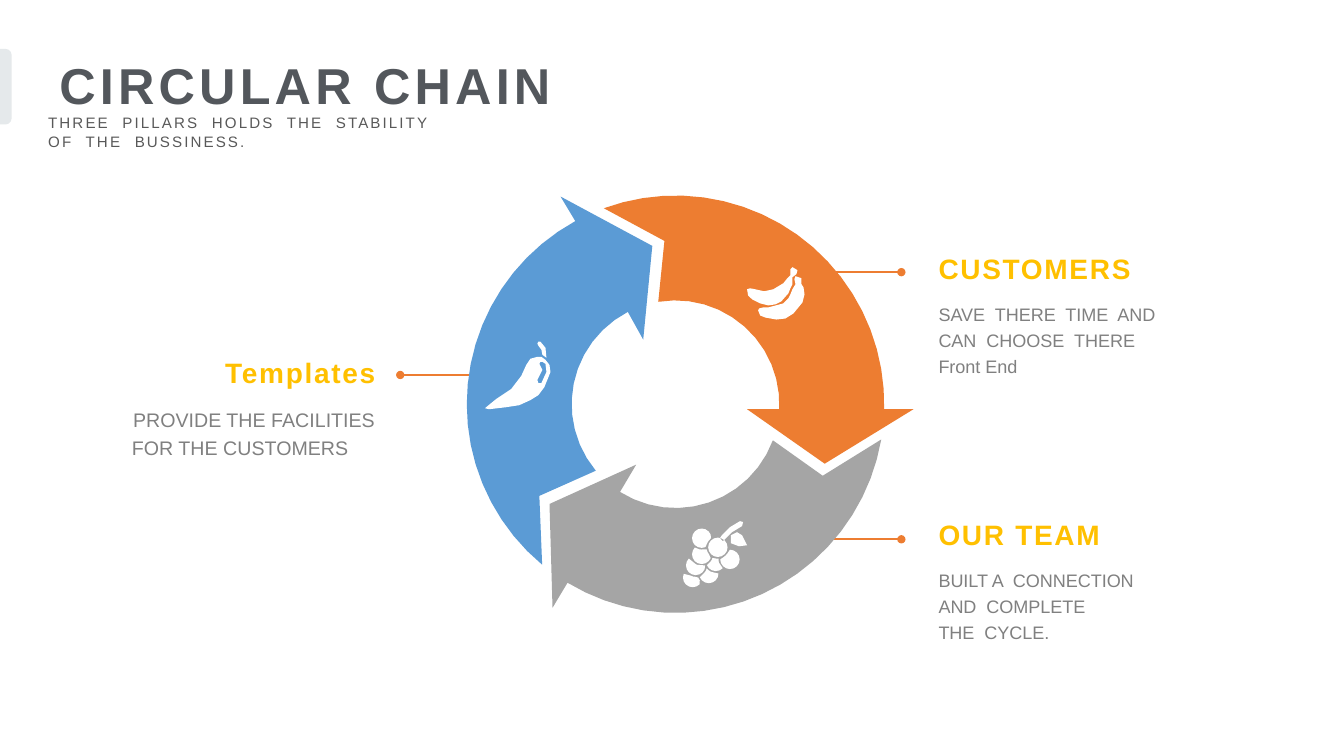
import math

import pptx
import pptx.util
import pptx.dml.color
import pptx.enum.shapes
import pptx.enum.text
import pptx.oxml
import pptx.oxml.ns

Inches = pptx.util.Inches
RGBColor = pptx.dml.color.RGBColor
ANCHOR = pptx.enum.text.MSO_ANCHOR
ALIGN = pptx.enum.text.PP_ALIGN

ORANGE = RGBColor(0xED, 0x7D, 0x31)
BLUE = RGBColor(0x5B, 0x9B, 0xD5)
GRAY = RGBColor(0xA5, 0xA5, 0xA5)
WHITE = RGBColor(0xFF, 0xFF, 0xFF)
GOLD = RGBColor(0xFF, 0xC0, 0x00)
BODY_GRAY = RGBColor(0x80, 0x80, 0x80)
SUBTITLE_GRAY = RGBColor(0x59, 0x59, 0x59)
TITLE_DARK = RGBColor(0x53, 0x57, 0x5C)
TITLE_LIGHT = RGBColor(0xC5, 0xC7, 0xCA)
TAB_GRAY = RGBColor(0xE5, 0xE9, 0xEB)

HEADING = {"size": pptx.util.Pt(20), "bold": True}
TITLE = {"size": pptx.util.Pt(36), "bold": True}

OUTER_RADIUS, INNER_RADIUS = 2.07, 1.03
ARROWS = [
    (GRAY, (2.04, 0.35), [(-1.07, 1.77), (-1.22, 2.02), (-1.25, 0.99), (-0.39, 0.6), (-0.55, 0.87)],
     (0.97, 0.36), (1.46, 0.71)),
    (BLUE, (-1.32, 1.59), [(-0.99, -1.81), (-1.14, -2.06), (-0.23, -1.57), (-0.32, -0.64), (-0.47, -0.91)],
     (-0.79, 0.66), (-1.35, 0.91)),
    (ORANGE, (-0.71, -1.94), [(2.07, 0.05), (2.36, 0.05), (1.48, 0.59), (0.71, 0.05), (1.03, 0.05)],
     (-0.17, -1.01), (-0.11, -1.62)),
]

BANANAS = [
    [(48, 9), (54, 11), (54, 17), (56, 20), (57, 27), (55, 35), (46, 46), (38, 51), (29, 52), (18, 50),
     (13, 48), (11, 43), (12, 41), (16, 40), (21, 40), (36, 36), (41, 31), (43, 27), (45, 22), (48, 17),
     (47, 12)],
    [(45, 0), (50, 3), (49, 7), (45, 10), (45, 17), (43, 21), (41, 26), (34, 34), (28, 37), (21, 38),
     (13, 36), (5, 32), (1, 28), (0, 22), (3, 21), (8, 22), (17, 24), (26, 22), (36, 16), (40, 11),
     (43, 8), (43, 2)],
]
CHILI = [
    [(52, 15), (56, 15), (60, 18), (64, 23), (65, 30), (59, 45), (53, 53), (45, 58), (34, 63), (21, 65),
     (4, 67), (0, 66), (11, 57), (26, 47), (36, 34), (41, 23), (45, 17)],
    [(55, 20), (54, 22), (55, 24), (57, 28), (52, 38), (53, 41), (56, 41), (61, 30), (60, 22), (57, 20)],
    [(53, 0), (55, 0), (60, 6), (61, 16), (57, 13), (56, 8), (53, 4), (52, 2)],
]
GRAPE_STEM_AND_LEAF = [
    [(56, 0), (59, 1), (58, 5), (48, 11), (41, 18), (39, 20), (36, 17), (38, 14), (46, 6)],
    [(53, 11), (58, 14), (63, 24), (55, 25), (47, 22), (47, 14)],
]
GRAPE_CENTERS = [(9, 56), (25, 52), (12, 44), (32, 40), (46, 38), (18, 33), (18, 17), (34, 26)]
GRAPE_RADIUS, GRAPE_GAP = 9.6, 1.6


def arc(start, end, radius, clockwise):
    """Return points of an arc about the origin between two directions."""
    first, last = (math.atan2(y, x) for x, y in (start, end))
    sweep = (last - first) % math.tau if clockwise else -((first - last) % math.tau)
    steps = 20 if clockwise else 12
    angles = [first + sweep * step / steps for step in range(steps + 1)]
    return [(radius * math.cos(angle), radius * math.sin(angle)) for angle in angles]


def grape(index):
    """Return a grape outline, cut back where the grapes in front cover it."""
    x, y = GRAPE_CENTERS[index]
    outline = []
    for step in range(16):
        angle = math.tau * step / 16
        ray = [(x + GRAPE_RADIUS * part / 40 * math.cos(angle), y + GRAPE_RADIUS * part / 40 * math.sin(angle))
               for part in range(40, -1, -1)]
        outline.append(next(point for point in ray if all(
            math.dist(point, front) >= GRAPE_RADIUS + GRAPE_GAP for front in GRAPE_CENTERS[index + 1:])))
    return outline


def fill_plain(shape, color):
    """Give a shape a solid fill without line or shadow."""
    shape.shadow.inherit = False
    shape.fill.solid()
    shape.fill.fore_color.rgb = color
    shape.line.fill.background()


def add_outline(slide, left, top, contours, color, unit=1):
    """Draw closed contours as one freeform, with points offset from left and top."""
    contours = [[(Inches(left + x * unit), Inches(top + y * unit)) for x, y in contour] for contour in contours]
    builder = slide.shapes.build_freeform(*contours[0][0])
    for index, contour in enumerate(contours):
        if index:
            builder.move_to(*contour[0])
        builder.add_line_segments(contour[1:], close=True)
    fill_plain(builder.convert_to_shape(), color)


def add_text(slide, box, lines, color, formats, anchor=ANCHOR.TOP, alignments=(), line_spacing=None, tracking=0):
    """Add a text box with one paragraph per line and return its frame."""
    frame = slide.shapes.add_textbox(*map(Inches, box)).text_frame
    frame.word_wrap = True
    frame.vertical_anchor = anchor
    for index, line in enumerate(lines):
        paragraph = frame.paragraphs[0] if index == 0 else frame.add_paragraph()
        paragraph.alignment = alignments[index] if index < len(alignments) else ALIGN.LEFT
        paragraph.line_spacing = line_spacing
        run = paragraph.add_run()
        run.text = line
        for name, value in {"name": "Arial", **formats}.items():
            setattr(run.font, name, value)
        run.font.color.rgb = color
        if tracking:
            run._r.get_or_add_rPr().set("spc", str(tracking))
    return frame


def add_header(slide, left, top):
    """Place the side tab, title and subtitle from the given corner."""
    tab = slide.shapes.add_shape(pptx.enum.shapes.MSO_SHAPE.ROUND_2_SAME_RECTANGLE,
                                 *map(Inches, (left - 0.32, top + 0.32, 0.75, 0.12)))
    tab.rotation = 90
    tab.adjustments[0], tab.adjustments[1] = 0.5, 0
    fill_plain(tab, TAB_GRAY)
    add_text(slide, (left + 0.38, top + 0.6, 5.6, 0.46),
             ["THREE  PILLARS  HOLDS  THE  STABILITY", "OF  THE  BUSSINESS."],
             SUBTITLE_GRAY, {"size": pptx.util.Pt(10.8)}, tracking=150)
    title = add_text(slide, (left + 0.49, top, 5.6, 0.71), ["CIRCULAR CHAIN"], TITLE_DARK, TITLE,
                     ANCHOR.BOTTOM, tracking=300)
    fill = title.paragraphs[0].runs[0].font.fill
    fill.gradient()
    fill.gradient_angle = 270
    for stop, position, color in zip(fill.gradient_stops, (0.21, 0.88), (TITLE_DARK, TITLE_LIGHT)):
        stop.position = position
        stop.color.rgb = color


def add_leader(slide, start, end, y, dot):
    """Draw a level leader line with a dot at its head or tail end."""
    line = slide.shapes.add_connector(pptx.enum.shapes.MSO_CONNECTOR.STRAIGHT,
                                      *map(Inches, (start, y, end, y)))
    line.line.color.rgb = ORANGE
    line.line.width = pptx.util.Pt(1.5)
    line.line._get_or_add_ln().append(pptx.oxml.parse_xml(
        f'<a:{dot}End {pptx.oxml.ns.nsdecls("a")} type="oval"/>'))
    line._element.spPr.append(pptx.oxml.parse_xml(f'<a:effectLst {pptx.oxml.ns.nsdecls("a")}/>'))


def add_ring(slide, center_x, center_y):
    """Draw the three chained arrows and their icons about a centre."""
    for color, outer_start, head, inner_end, notch in ARROWS:
        outline = (arc(outer_start, head[0], OUTER_RADIUS, True) + head[1:4]
                   + arc(head[4], inner_end, INNER_RADIUS, False) + [notch])
        add_outline(slide, center_x, center_y, [outline], color)
    grapes = [grape(index) for index in range(len(GRAPE_CENTERS))]
    for x, y, contours in ((0.71, -1.36, BANANAS), (-1.89, -0.62, CHILI),
                           (0.08, 1.16, grapes + GRAPE_STEM_AND_LEAF)):
        add_outline(slide, center_x + x, center_y + y, contours, WHITE, 0.01)


def add_callout(slide, left, top, heading, lines, size, alignments=()):
    """Place a heading and its description below it."""
    add_text(slide, (left, top, 2.61, 0.61), [heading], GOLD, HEADING, ANCHOR.MIDDLE, alignments, 1.3, 120)
    add_text(slide, (left, top + 0.61, 2.61, 0.82), lines, BODY_GRAY, {"size": pptx.util.Pt(size)},
             alignments=alignments, line_spacing=1.2)


def main():
    """Build and save the slide."""
    presentation = pptx.Presentation()
    presentation.slide_width, presentation.slide_height = Inches(13.33), Inches(7.5)
    slide = presentation.slides.add_slide(presentation.slide_layouts[6])
    for start, end, y, dot in ((7.6, 8.94, 2.7, "tail"), (3.97, 4.65, 3.72, "head"), (7.6, 8.94, 5.35, "tail")):
        add_leader(slide, start, end, y, dot)
    add_ring(slide, 6.7, 4.01)
    add_callout(slide, 1.21, 3.34, "Templates", ["PROVIDE THE FACILITIES", "FOR THE CUSTOMERS"], 14, [ALIGN.RIGHT])
    add_callout(slide, 9.21, 2.31, "CUSTOMERS", ["SAVE  THERE  TIME  AND", "CAN  CHOOSE  THERE", "Front End"], 12.9)
    add_callout(slide, 9.21, 4.95, "OUR TEAM", ["BUILT A  CONNECTION", "AND  COMPLETE", "THE  CYCLE."], 12.9)
    add_header(slide, 0, 0.48)
    presentation.save("out.pptx")


if __name__ == "__main__":
    main()
